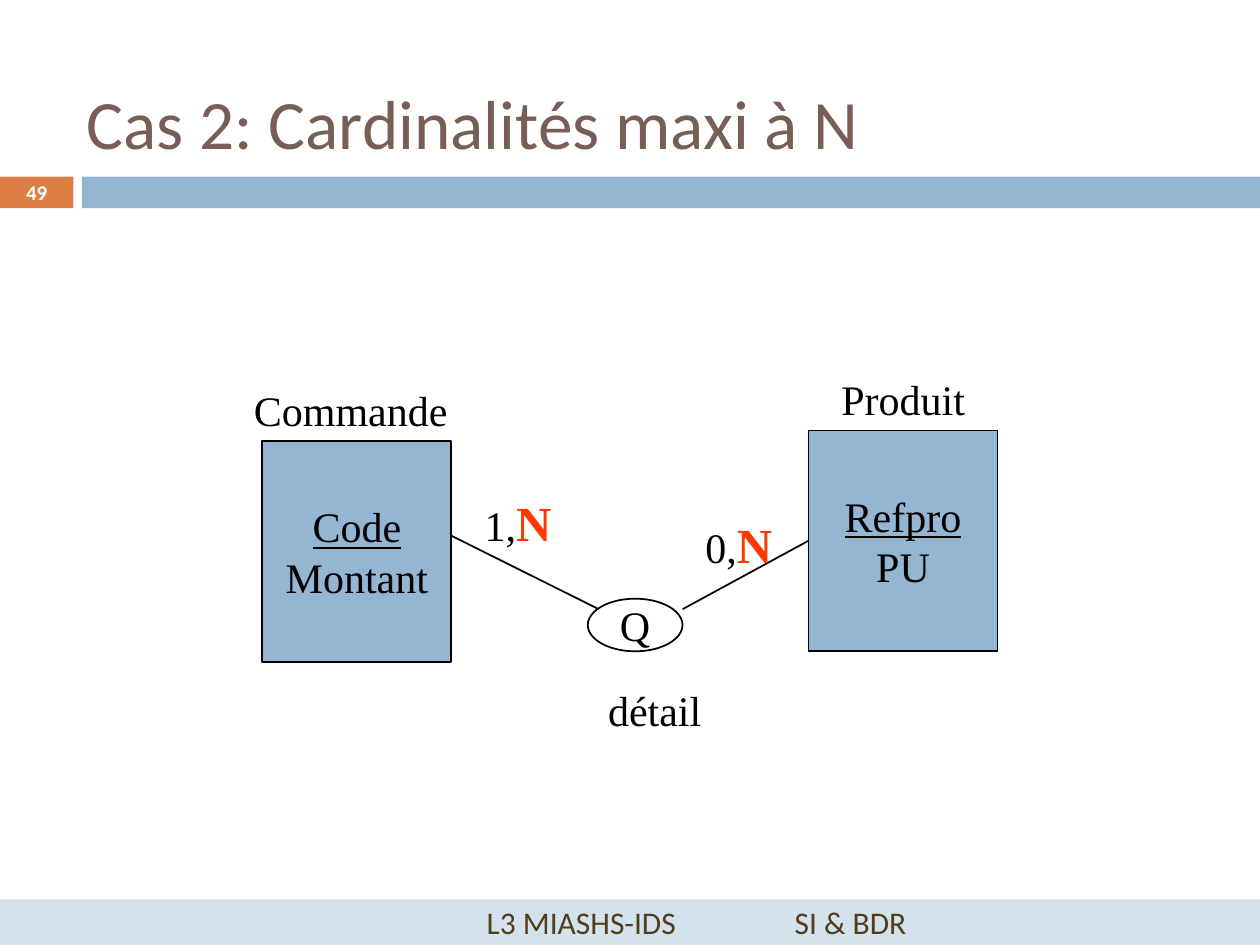
from lxml import etree
from pptx import Presentation
from pptx import util as u
from pptx.dml.color import RGBColor
from pptx.enum import shapes, text
from pptx.oxml.ns import qn

BLACK = RGBColor(0x00, 0x00, 0x00)
WHITE = RGBColor(0xFF, 0xFF, 0xFF)
ORANGE = RGBColor(0xDD, 0x80, 0x47)
BLUE = RGBColor(0x94, 0xB6, 0xD2)
PALE_BLUE = RGBColor(0xD4, 0xE2, 0xED)
BROWN = RGBColor(0x77, 0x5F, 0x55)
DARK_BROWN = RGBColor(0x51, 0x3E, 0x1B)
RED = RGBColor(0xFE, 0x38, 0x02)

SERIF = "Times New Roman"
SANS = "Calibri"
RECTANGLE = shapes.MSO_SHAPE.RECTANGLE
OVAL = shapes.MSO_SHAPE.OVAL
CENTER = text.PP_ALIGN.CENTER
LEFT = text.PP_ALIGN.LEFT


def write(para, words, font=SERIF, size=24, color=BLACK, bold=False, underline=False, align=LEFT):
    para.alignment = align
    span = para.add_run()
    span.text = words
    span.font.name = font
    span.font.size = u.Pt(size)
    span.font.color.rgb = color
    span.font.bold = bold
    span.font.underline = underline


def add_box(place, kind=None, fill=None, outlined=False, wrap=False):
    lengths = [u.Cm(value) for value in place]
    if kind is None:
        box = page.shapes.add_textbox(*lengths)
    else:
        box = page.shapes.add_shape(kind, *lengths)
        box.shadow.inherit = False
        if fill is None:
            box.fill.background()
        else:
            box.fill.solid()
            box.fill.fore_color.rgb = fill
        if outlined:
            box.line.color.rgb = BLACK
            box.line.width = u.Pt(1)
        else:
            box.line.fill.background()
    box.text_frame.word_wrap = wrap
    box.text_frame.vertical_anchor = text.MSO_ANCHOR.MIDDLE
    return box


deck = Presentation()
deck.slide_width = u.Cm(25.4)
deck.slide_height = u.Cm(19.05)
page = deck.slides.add_slide(deck.slide_layouts[6])

add_box((0, 3.56, 1.48, 0.64), RECTANGLE, ORANGE)
add_box((1.65, 3.56, 23.75, 0.64), RECTANGLE, BLUE)

title = add_box((1.5, 1.73, 21.9, 1.47), wrap=True)
write(title.text_frame.paragraphs[0], "Cas 2: Cardinalités maxi à N", font=SANS, size=39.6, color=BROWN)

entities = [
    (5.29, 8.89, "Code", "Montant"),
    (16.3, 8.68, "Refpro", "PU"),
]
for left, top, key, attribute in entities:
    entity = add_box((left, top, 3.81, 4.45), RECTANGLE, BLUE, outlined=True)
    write(entity.text_frame.paragraphs[0], key, underline=True, align=CENTER)
    write(entity.text_frame.add_paragraph(), attribute, align=CENTER)

association = add_box((11.85, 12.07, 1.91, 1.06), OVAL, outlined=True)
write(association.text_frame.paragraphs[0], "Q", align=CENTER)

for start_x, start_y, end_x, end_y in [(13.76, 12.28, 16.3, 10.9), (9.1, 10.8, 12.07, 12.28)]:
    link = page.shapes.add_connector(
        shapes.MSO_CONNECTOR.STRAIGHT, u.Cm(start_x), u.Cm(start_y), u.Cm(end_x), u.Cm(end_y)
    )
    link.line.color.rgb = BLACK
    link.line.width = u.Pt(1)
    etree.SubElement(link._element.spPr, qn("a:effectLst"))

names = [
    (4.87, 7.62, 4.42, "Commande"),
    (16.71, 7.41, 3.0, "Produit"),
    (12.01, 13.67, 2.39, "détail"),
]
for left, top, width, words in names:
    name = add_box((left, top, width, 1.27))
    write(name.text_frame.paragraphs[0], words)

for left, top, minimum in [(9.52, 9.8, "1,"), (13.97, 10.24, "0,")]:
    cardinality = add_box((left, top, 1.85, 1.45))
    write(cardinality.text_frame.paragraphs[0], minimum)
    write(cardinality.text_frame.paragraphs[0], "N", size=28, color=RED, bold=True)

footer = add_box((0, 18.13, 25.4, 0.92), RECTANGLE, PALE_BLUE, wrap=True)
write(
    footer.text_frame.paragraphs[0], "\t\t L3 MIASHS-IDS\t\tSI & BDR",
    font=SANS, size=18, color=DARK_BROWN, align=CENTER,
)

number = add_box((0, 3.54, 1.48, 0.68), wrap=True)
write(number.text_frame.paragraphs[0], "49", font=SANS, size=11.9, color=WHITE, bold=True, align=CENTER)

deck.save("out.pptx")
